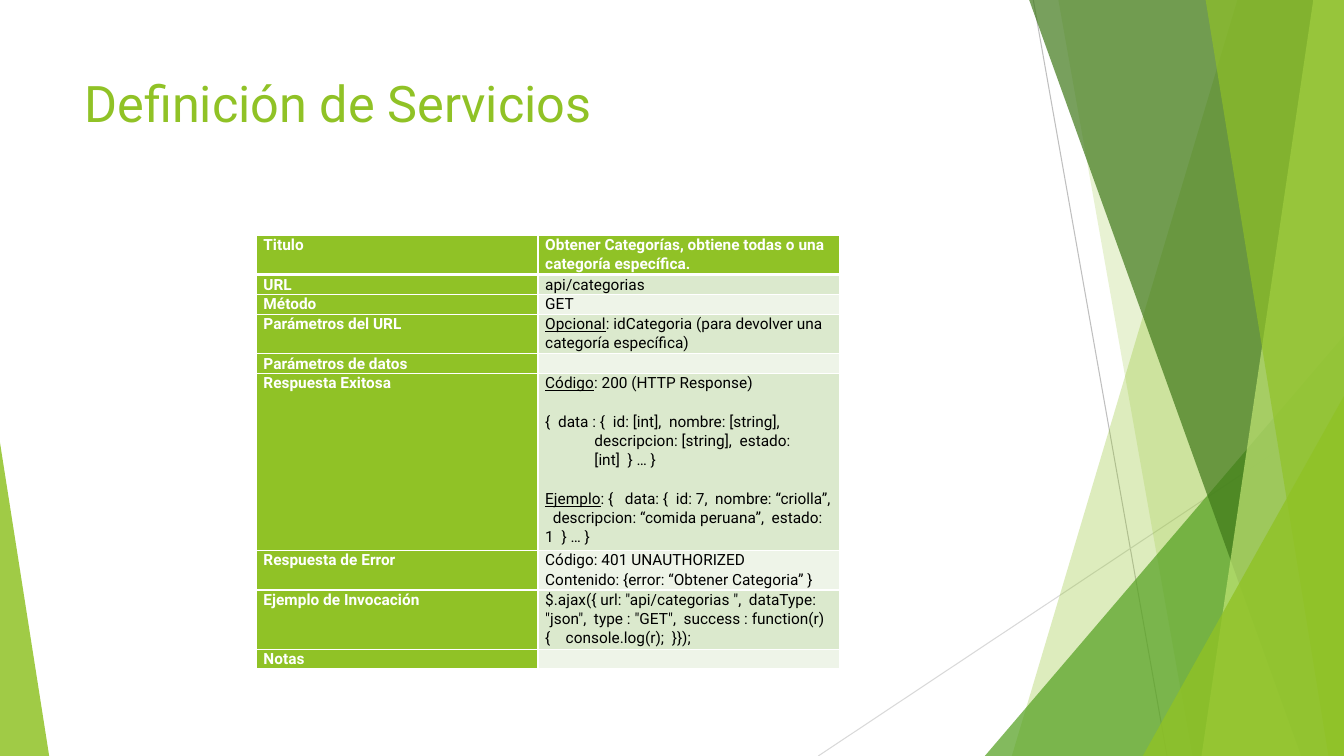
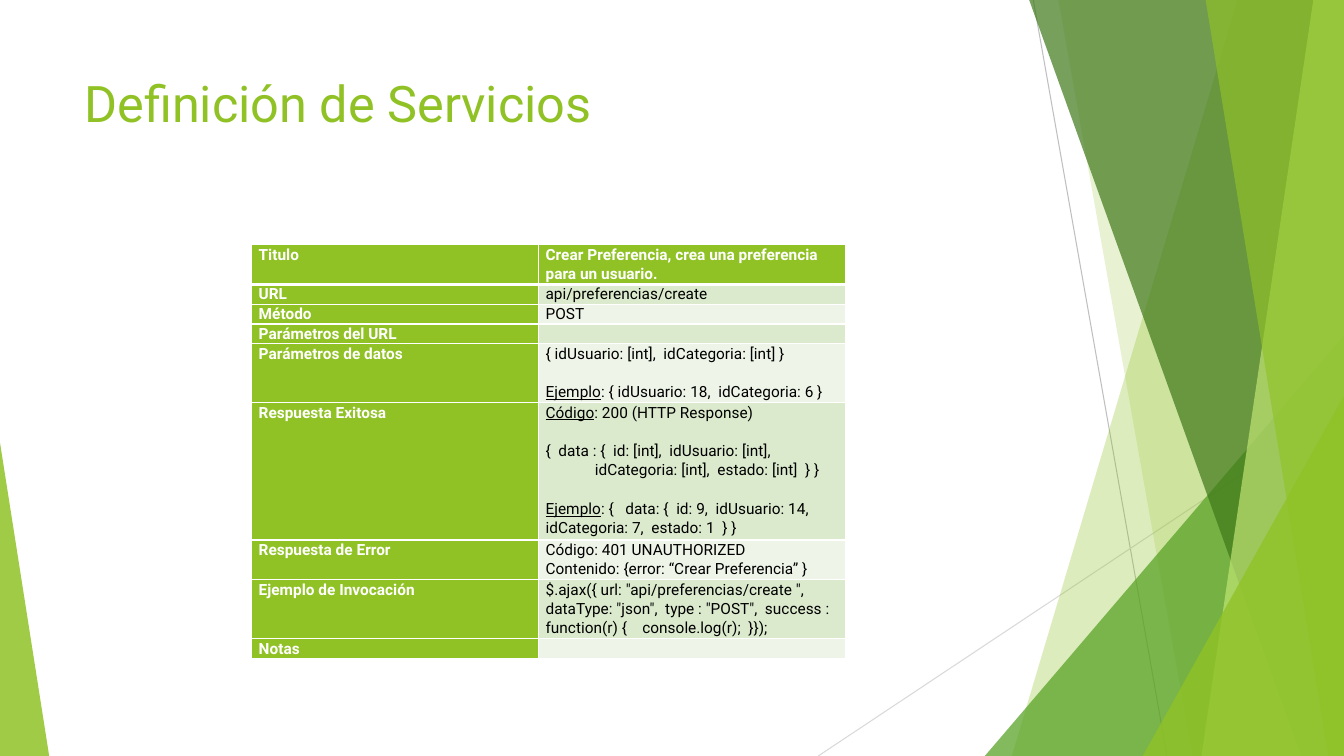
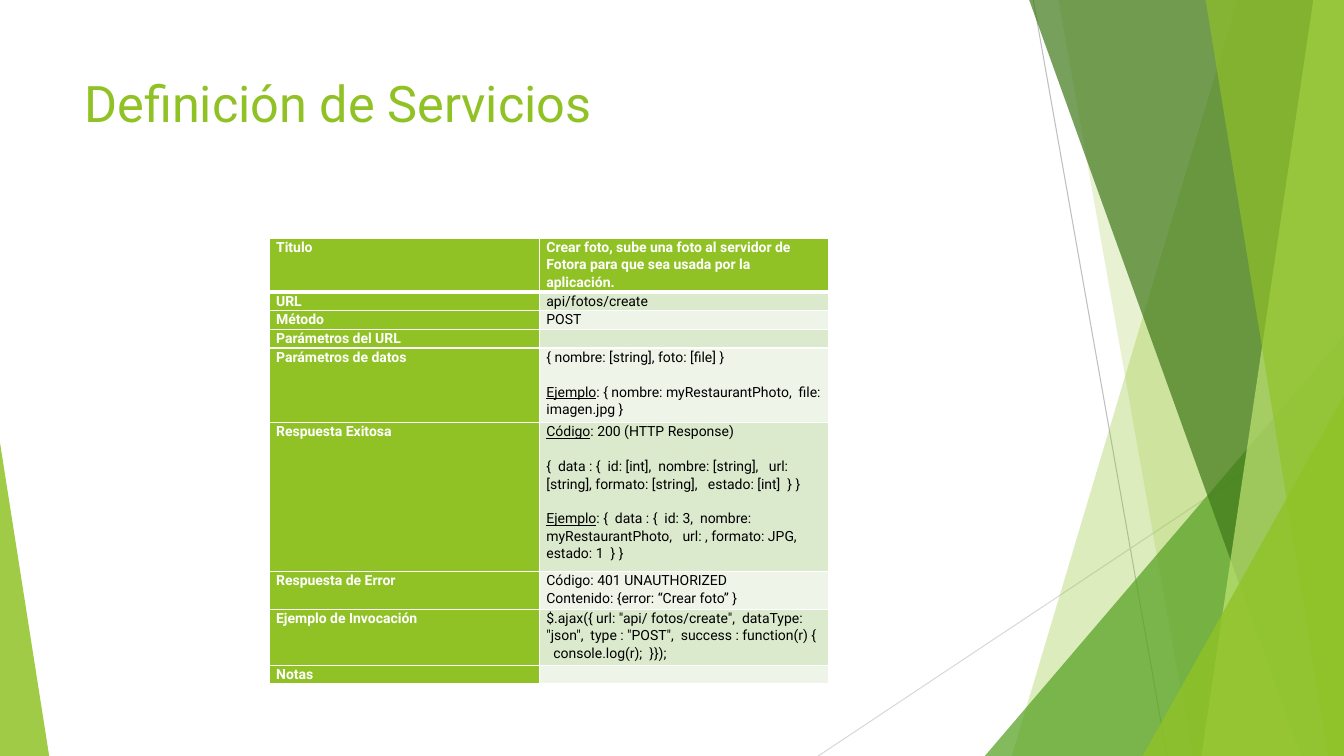
"""Builds three slides that define web services, each with one table over a shared faceted backdrop."""
from lxml.etree import SubElement
from pptx import Presentation
from pptx.dml.color import RGBColor
from pptx.enum.shapes import MSO_CONNECTOR, MSO_SHAPE
from pptx.enum.text import MSO_ANCHOR
from pptx.oxml.ns import qn
from pptx.util import Cm, Pt

COLORS = {
    "lime": "90C226",
    "leaf": "54A021",
    "forest": "3F7819",
    "pale": "C0E474",
    "odd_row": "DBE9CD",
    "even_row": "EEF4E8",
    "white": "FFFFFF",
    "black": "000000",
    "gray": "BFBFBF",
    "light_gray": "D9D9D9",
}
WIDTH, HEIGHT = 33.87, 19.05
FONT = "Roboto"
TITLE = "Definición de Servicios"
TITLE_FORMAT = {"name": FONT, "size": Pt(36)}
CELL_FORMAT = {
    "margin_left": Cm(0.18),
    "margin_right": Cm(0.18),
    "margin_top": 0,
    "margin_bottom": 0,
    "vertical_anchor": MSO_ANCHOR.TOP,
}

LINES = [
    ((26.04, 0), (29.41, HEIGHT), "gray"),
    ((WIDTH, 10.24), (20.62, HEIGHT), "light_gray"),
]
FACETS = [
    {"top_x": 31.19, "bottom_x": 25.5, "color": "lime", "opacity": 30},
    {"top_x": 26.67, "bottom_x": 30.05, "color": "lime", "opacity": 20},
    {"left": 24.82, "top": 8.46, "width": 9.05, "apex": 1, "color": "leaf", "opacity": 72},
    {"top_x": 25.93, "bottom_x": 32.79, "color": "forest", "opacity": 70},
    {"top_x": 33.1, "bottom_x": 30.28, "color": "pale", "opacity": 70},
    {"top_x": 30.38, "bottom_x": 33.48, "color": "lime", "opacity": 65},
    {"left": 28.8, "top": 9.98, "width": 5.07, "apex": 1, "color": "lime", "opacity": 80},
    {"left": 0, "top": 11.15, "width": 1.24, "apex": 0, "color": "lime", "opacity": 85},
]

LABELS = [
    "Titulo",
    "URL",
    "Método",
    "Parámetros del URL",
    "Parámetros de datos",
    "Respuesta Exitosa",
    "Respuesta de Error",
    "Ejemplo de Invocación",
    "Notas",
]
SPACED_ROWS = {"Parámetros de datos", "Respuesta Exitosa"}
SUCCESS = ("Código", ": 200 (HTTP Response)")
UNAUTHORIZED = ("", "Código: 401 UNAUTHORIZED")

SERVICES = [
    {
        "left": 6.46, "top": 5.92, "columns": (7.1, 7.6), "size": 11, "line": 0.49,
        "row_lines": (2, 1, 1, 2, 1, 9, 2, 3, 1), "hanging": 1.24,
        "values": [
            [("", "Obtener Categorías, obtiene todas o una categoría específica.")],
            [("", "api/categorias")],
            [("", "GET")],
            [("Opcional", ": idCategoria (para devolver una categoría específica)")],
            [],
            [
                SUCCESS,
                ("", "{  data : {  id: [int],  nombre: [string], descripcion: [string],  estado: [int]  } … }"),
                ("Ejemplo", ": {   data: {  id: 7,  nombre: “criolla”,   descripcion: “comida peruana”,  estado: 1  } … }"),
            ],
            [UNAUTHORIZED, ("", "Contenido: {error: “Obtener Categoria” }")],
            [("", '$.ajax({ url: "api/categorias ",  dataType: "json",  type : "GET",  success : function(r) {    console.log(r);  }});')],
            [],
        ],
    },
    {
        "left": 6.34, "top": 6.17, "columns": (7.23, 7.75), "size": 11, "line": 0.49,
        "row_lines": (2, 1, 1, 1, 3, 7, 2, 3, 1), "hanging": 1.24,
        "values": [
            [("", "Crear Preferencia, crea una preferencia para un usuario.")],
            [("", "api/preferencias/create")],
            [("", "POST")],
            [],
            [
                ("", "{ idUsuario: [int],  idCategoria: [int] }"),
                ("Ejemplo", ": { idUsuario: 18,  idCategoria: 6 }"),
            ],
            [
                SUCCESS,
                ("", "{  data : {  id: [int],  idUsuario: [int],   idCategoria: [int],  estado: [int]  } }"),
                ("Ejemplo", ": {   data: {  id: 9,  idUsuario: 14,   idCategoria: 7,  estado: 1  } }"),
            ],
            [UNAUTHORIZED, ("", "Contenido: {error: “Crear Preferencia” }")],
            [("", '$.ajax({ url: "api/preferencias/create ",  dataType: "json",  type : "POST",  success : function(r) {    console.log(r);  }});')],
            [],
        ],
    },
    {
        "left": 6.78, "top": 6, "columns": (6.81, 7.29), "size": 10, "line": 0.47,
        "row_lines": (2, 1, 1, 1, 4, 8, 2, 3, 1), "hanging": 0,
        "values": [
            [("", "Crear foto, sube una foto al servidor de Fotora para que sea usada por la aplicación.")],
            [("", "api/fotos/create")],
            [("", "POST")],
            [],
            [
                ("", "{ nombre: [string], foto: [file] }"),
                ("Ejemplo", ": { nombre: myRestaurantPhoto,  file: imagen.jpg }"),
            ],
            [
                SUCCESS,
                ("", "{  data : {  id: [int],  nombre: [string],   url: [string], formato: [string],   estado: [int]  } }"),
                ("Ejemplo", ": {  data : {  id: 3,  nombre: myRestaurantPhoto,   url: , formato: JPG,   estado: 1  } }"),
            ],
            [UNAUTHORIZED, ("", "Contenido: {error: “Crear foto” }")],
            [("", '$.ajax({ url: "api/ fotos/create",  dataType: "json",  type : "POST",  success : function(r) {    console.log(r);  }});')],
            [],
        ],
    },
]


def color(name):
    return RGBColor.from_string(COLORS[name])


def apply_format(target, values):
    for attribute, value in values.items():
        setattr(target, attribute, value)


presentation = Presentation()
apply_format(presentation, {"slide_width": Cm(WIDTH), "slide_height": Cm(HEIGHT)})
layout = presentation.slide_layouts[6]
for placeholder in list(layout.placeholders):
    placeholder._element.getparent().remove(placeholder._element)
slides = [presentation.slides.add_slide(layout) for service in SERVICES]

shapes = slides[0].shapes
for start, end, line_color in LINES:
    connector = shapes.add_connector(MSO_CONNECTOR.STRAIGHT, *[Cm(value) for value in start + end])
    connector.line.color.rgb = color(line_color)
    connector.line.width = Pt(0.75)
    SubElement(connector._element.spPr, qn("a:effectLst"))

for facet in FACETS:
    if "apex" in facet:
        box = (facet["left"], facet["top"], facet["width"], HEIGHT - facet["top"])
        shape = shapes.add_shape(MSO_SHAPE.ISOSCELES_TRIANGLE, *[Cm(value) for value in box])
        shape.adjustments[0] = facet["apex"]
    else:
        builder = shapes.build_freeform(Cm(facet["top_x"]), Cm(-0.02))
        corners = [(WIDTH, -0.02), (WIDTH, HEIGHT), (facet["bottom_x"], HEIGHT)]
        builder.add_line_segments([(Cm(x), Cm(y)) for x, y in corners], close=True)
        shape = builder.convert_to_shape()
    shape.shadow.inherit = False
    shape.fill.solid()
    shape.fill.fore_color.rgb = color(facet["color"])
    shape.line.fill.background()
    fill_color = shape._element.spPr.find(".//" + qn("a:srgbClr"))
    SubElement(fill_color, qn("a:alpha"), val=str(facet["opacity"] * 1000))

for shape in list(shapes):
    layout.shapes._spTree.append(shape._element)

for slide, service in zip(slides, SERVICES):
    title = slide.shapes.add_textbox(Cm(1.88), Cm(1.7), Cm(23.88), Cm(3.66))
    title.text_frame.word_wrap = True
    paragraph = title.text_frame.paragraphs[0]
    paragraph.text = TITLE
    apply_format(paragraph.runs[0].font, TITLE_FORMAT)
    paragraph.runs[0].font.color.rgb = color("lime")

    heights = [lines * service["line"] for lines in service["row_lines"]]
    box = (service["left"], service["top"], sum(service["columns"]), sum(heights))
    table = slide.shapes.add_table(len(LABELS), 2, *[Cm(value) for value in box]).table
    for column, width in zip(table.columns, service["columns"]):
        column.width = Cm(width)

    for row_index, (label, value) in enumerate(zip(LABELS, service["values"])):
        table.rows[row_index].height = Cm(heights[row_index])
        for column_index, content in enumerate(([("", label)], value)):
            cell = table.cell(row_index, column_index)
            apply_format(cell, CELL_FORMAT)
            heading = row_index == 0 or column_index == 0

            thick_side = {0: "lnB", 1: "lnT"}.get(row_index)
            for side in ("lnL", "lnR", "lnT", "lnB"):
                width = Pt(3 if side == thick_side else 1)
                border = SubElement(cell._tc.get_or_add_tcPr(), qn("a:" + side), w=str(width))
                border_fill = SubElement(border, qn("a:solidFill"))
                SubElement(border_fill, qn("a:srgbClr"), val=COLORS["white"])
            band = "odd_row" if row_index % 2 else "even_row"
            cell.fill.solid()
            cell.fill.fore_color.rgb = color("lime" if heading else band)

            frame = cell.text_frame
            if not content:
                SubElement(frame.paragraphs[0]._p, qn("a:endParaRPr"), sz=str(service["size"] * 100))
            for index, (underlined, plain) in enumerate(content):
                paragraph = frame.add_paragraph() if index else frame.paragraphs[0]
                paragraph.line_spacing = 1.07
                if index and label in SPACED_ROWS:
                    paragraph.space_before = Pt(service["size"] * 1.25)
                if service["hanging"] and plain.startswith("{  data"):
                    properties = paragraph._p.get_or_add_pPr()
                    properties.set("marL", str(Cm(service["hanging"])))
                    properties.set("indent", str(-Cm(service["hanging"])))
                for text, underline in ((underlined, True), (plain, False)):
                    if text:
                        run = paragraph.add_run()
                        run.text = text
                        run_format = {"name": FONT, "size": Pt(service["size"]), "bold": heading, "underline": underline}
                        apply_format(run.font, run_format)
                        run.font.color.rgb = color("white" if heading else "black")

presentation.save("out.pptx")
